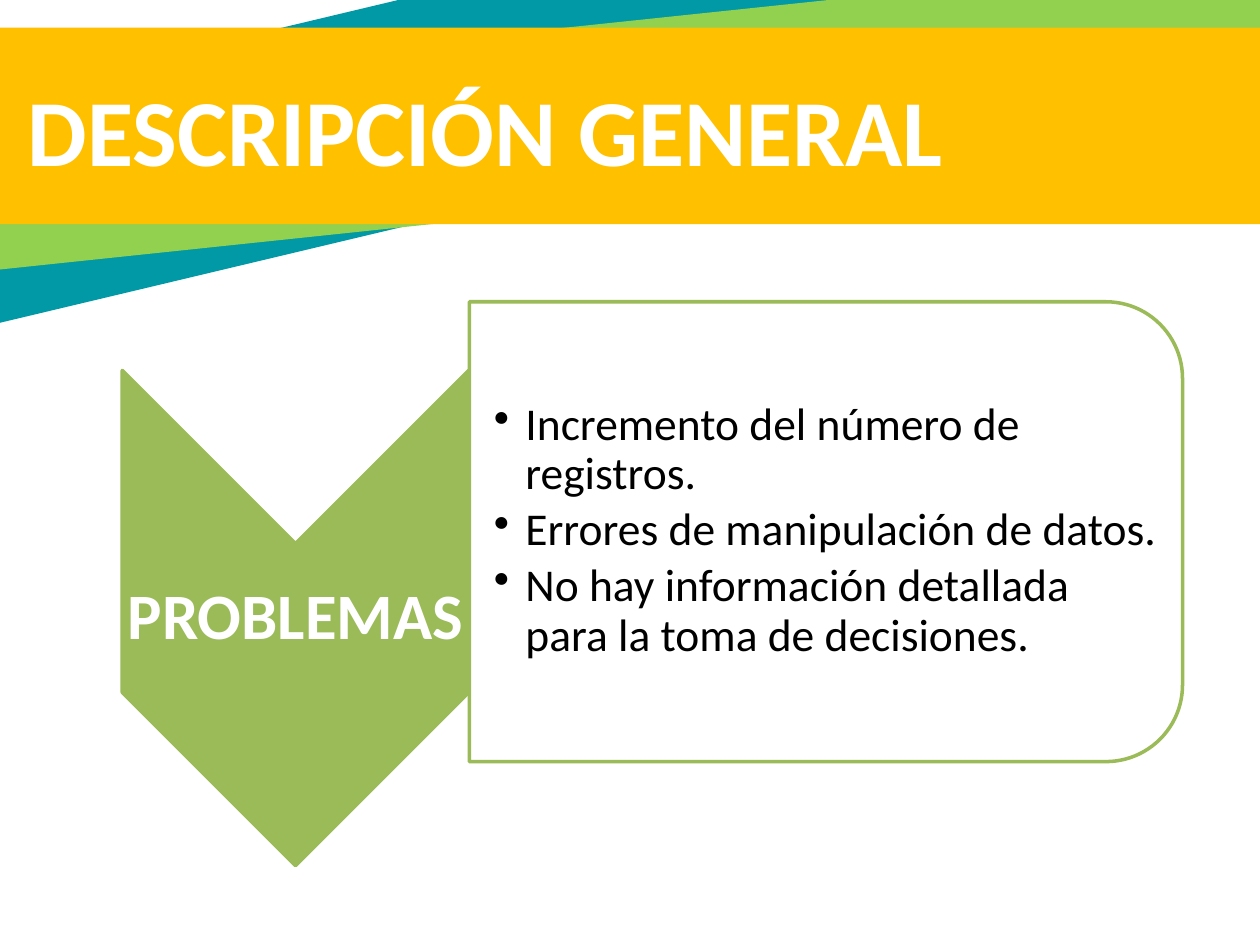
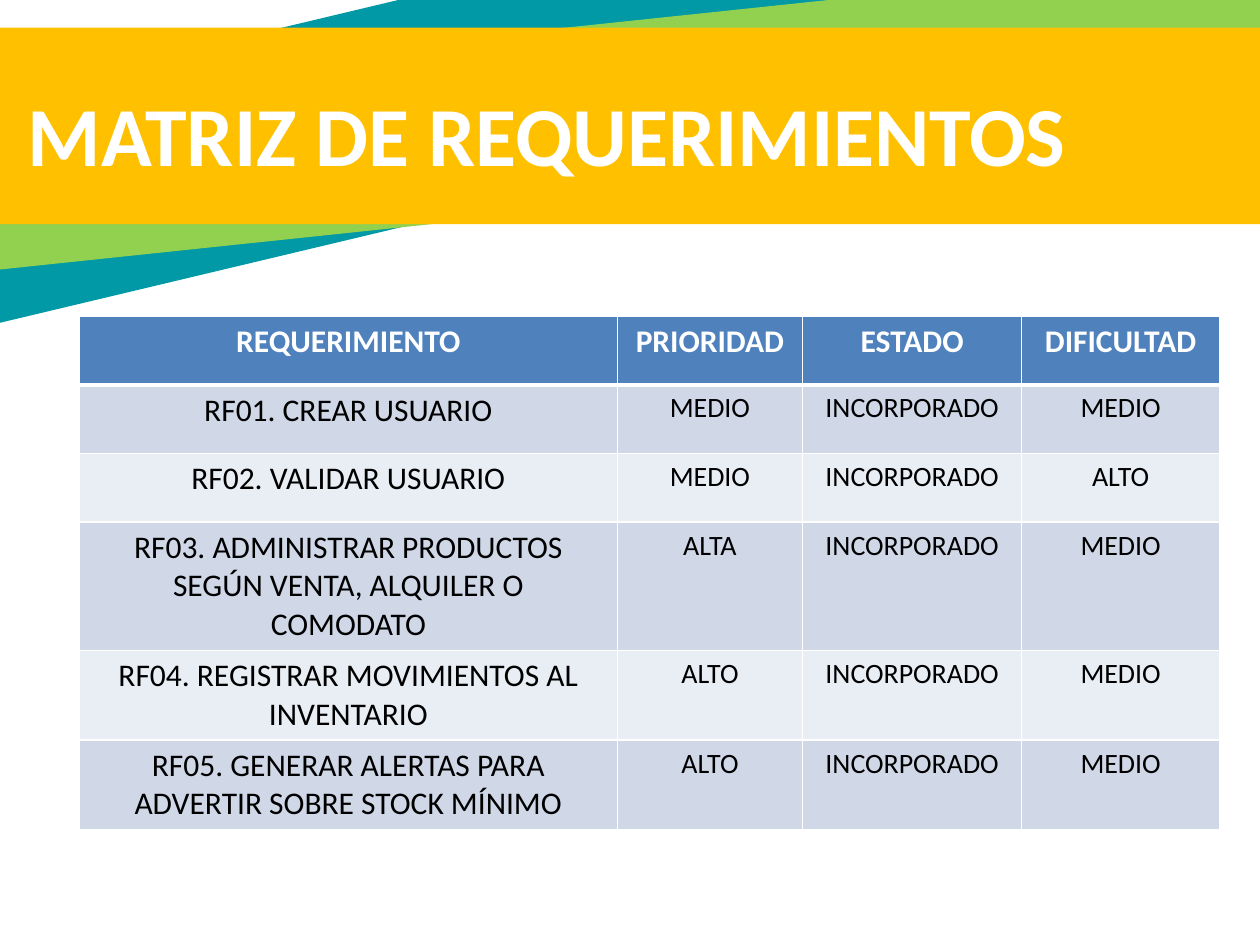
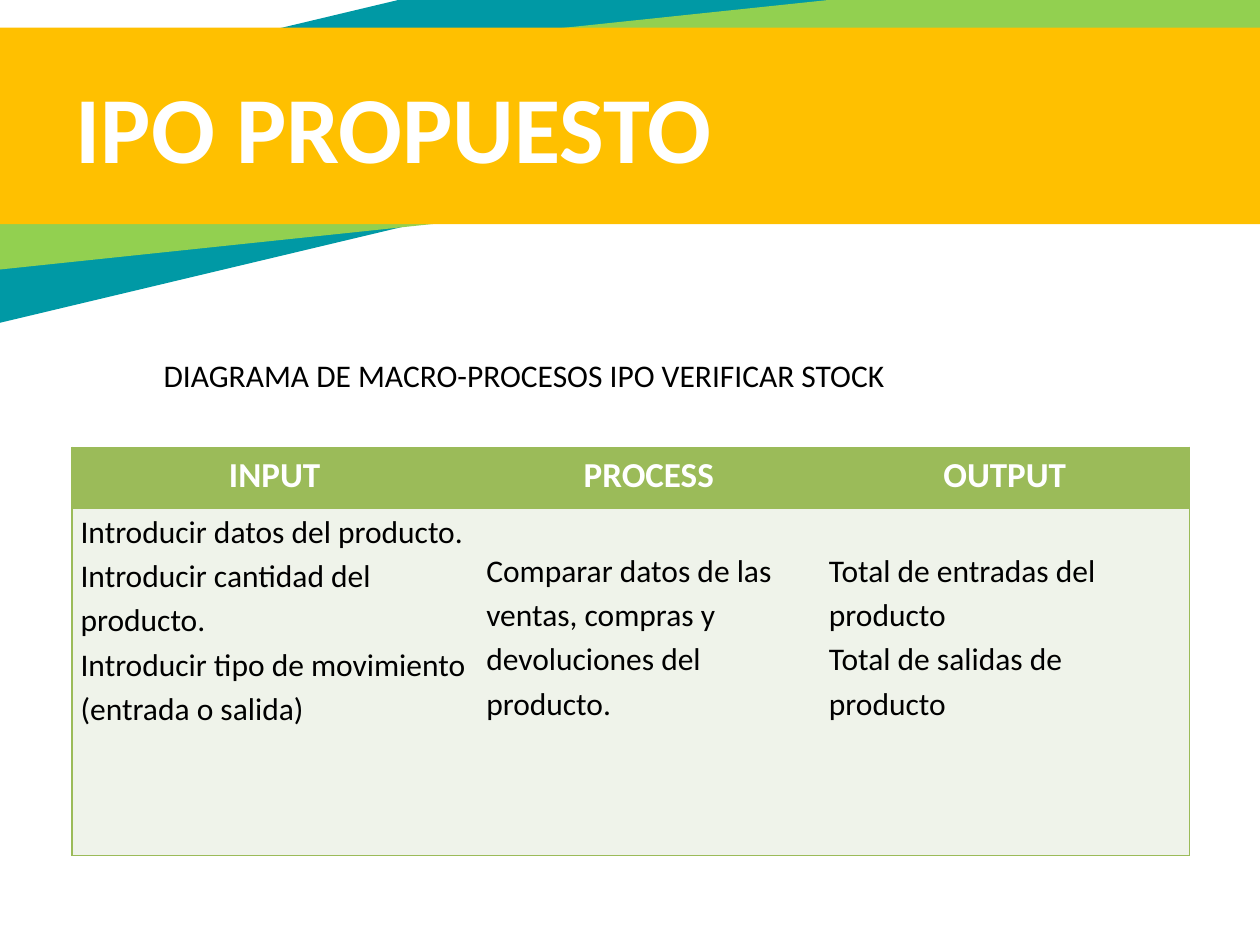
import lxml.etree
import pptx
import pptx.dml.color
import pptx.enum.shapes
import pptx.enum.text
import pptx.oxml
import pptx.oxml.ns
import pptx.util

SHAPES = pptx.enum.shapes.MSO_SHAPE
ALIGN = pptx.enum.text.PP_ALIGN
ANCHOR = pptx.enum.text.MSO_ANCHOR
NO_TABLE_STYLE = "{2D5ABB26-0587-4C30-8999-92F81FD0307C}"
TITLE_ONLY = 5


def color(hex_text):
    return pptx.dml.color.RGBColor.from_string(hex_text)


def add_xml(parent, tag, **attributes):
    child = lxml.etree.SubElement(parent, pptx.oxml.ns.qn(tag))
    for name, value in attributes.items():
        child.set(name, str(value))
    return child


class Deck:
    FONT = "Calibri"
    WHITE, BLACK = "FFFFFF", "000000"
    TEAL, LIME, AMBER = "0099A5", "92D050", "FFC000"
    OLIVE, PALE_OLIVE = "9BBB59", "EFF3EA"
    BLUE, MID_BLUE, PALE_BLUE = "4F81BD", "D0D8E8", "E9EDF4"
    COLUMNS, ROWS = 100, 75

    def __init__(self):
        self.presentation = pptx.Presentation()
        self.presentation.slide_width = pptx.util.Inches(10)
        self.presentation.slide_height = pptx.util.Inches(7.5)
        self.layout = self.presentation.slide_layouts[TITLE_ONLY]
        self.slide = None

    def x(self, columns):
        return round(self.presentation.slide_width * columns / self.COLUMNS)

    def y(self, rows):
        return round(self.presentation.slide_height * rows / self.ROWS)

    def place(self, left, top, width, height):
        return self.x(left), self.y(top), self.x(width), self.y(height)

    def new_slide(self):
        first = self.slide is None
        self.slide = self.presentation.slides.add_slide(self.layout)
        if first:
            self.bands()

    def bands(self):
        bands = [
            ((-25.1, -1.8, 130.6, 17.6), self.TEAL, 346.6),
            ((-11, 2, 116.3, 14.4), self.LIME, 354),
            ((-10.6, 2.2, 116.3, 15.6), self.AMBER, 0),
        ]
        for index, (box, fill, rotation) in enumerate(bands):
            band = self.shape(SHAPES.RECTANGLE, box, fill, rotation=rotation)
            band.element.xpath("./p:nvSpPr/p:cNvPr")[0].set("id", str(100 + index))
            self.layout.shapes.element.insert(2 + index, band.element)

    def shape(self, kind, box, fill, line=None, rotation=0, opacity=100):
        shape = self.slide.shapes.add_shape(kind, *self.place(*box))
        shape.shadow.inherit = False
        shape.rotation = rotation
        shape.fill.solid()
        shape.fill.fore_color.rgb = color(fill)
        if opacity < 100:
            solid = shape.element.spPr.find(pptx.oxml.ns.qn("a:solidFill"))
            add_xml(solid[0], "a:alpha", val=opacity * 1000)
        if line:
            shape.line.color.rgb = color(line)
            shape.line.width = pptx.util.Pt(2)
        else:
            shape.line.fill.background()
        return shape

    def format(self, frame, size, ink, bold=False, align=None, spacing=None, after=None):
        for paragraph in frame.paragraphs:
            paragraph.alignment = align
            paragraph.line_spacing = spacing
            if after is not None:
                paragraph.space_after = pptx.util.Pt(after)
            for run in paragraph.runs:
                run.font.name = self.FONT
                run.font.size = pptx.util.Pt(size)
                run.font.bold = bold
                run.font.color.rgb = color(ink)

    def margins(self, target, left, top, right, bottom):
        target.margin_left, target.margin_right = self.x(left), self.x(right)
        target.margin_top, target.margin_bottom = self.y(top), self.y(bottom)

    def title(self, text, box, size, indent, drop=0):
        title = self.slide.shapes.title
        title.left, title.top, title.width, title.height = self.place(*box)
        frame = title.text_frame
        frame.text = text
        frame.auto_size = pptx.enum.text.MSO_AUTO_SIZE.NONE
        frame.vertical_anchor = ANCHOR.MIDDLE
        self.margins(frame, indent, 0.5 + drop, 1, 0.5)
        self.format(frame, size, self.WHITE, bold=True, align=ALIGN.LEFT)

    def text(self, text, box, size, ink, margins, **style):
        frame = self.slide.shapes.add_textbox(*self.place(*box)).text_frame
        frame.word_wrap = True
        frame.vertical_anchor = ANCHOR.MIDDLE
        frame.text = text
        self.margins(frame, *margins)
        self.format(frame, size, ink, **style)
        return frame

    def bullets(self, items, box, size, margins, **style):
        frame = self.text("\n".join(items), box, size, self.BLACK, margins, **style)
        indent = self.x(2.5)
        for paragraph in frame.paragraphs:
            properties = paragraph._p.get_or_add_pPr()
            properties.set("marL", str(indent))
            properties.set("indent", str(-indent))
            add_xml(properties, "a:buChar", char="•")

    def table(self, values, left, top, widths, heights):
        box = self.place(left, top, sum(widths), sum(heights))
        table = self.slide.shapes.add_table(len(heights), len(widths), *box).table
        table._tbl.tblPr.find(pptx.oxml.ns.qn("a:tableStyleId")).text = NO_TABLE_STYLE
        for column, width in zip(table.columns, widths):
            column.width = self.x(width)
        for row, height in zip(table.rows, heights):
            row.height = self.y(height)
        for row, texts in zip(table.rows, values):
            for cell, text in zip(row.cells, texts):
                cell.text_frame.text = text
        return table

    def cell(self, cell, fill, borders, ink, size, **style):
        properties = cell._tc.get_or_add_tcPr()
        for side in "LRTB":
            if side in borders:
                line_color, width = borders[side]
                line = add_xml(properties, f"a:ln{side}", w=pptx.util.Pt(width))
                add_xml(add_xml(line, "a:solidFill"), "a:srgbClr", val=line_color)
        cell.fill.solid()
        cell.fill.fore_color.rgb = color(fill)
        self.format(cell.text_frame, size, ink, **style)


def problems_slide(deck):
    deck.new_slide()
    deck.title("DESCRIPCIÓN GENERAL", (-9.7, 2.5, 115.1, 14.9), 54, 11.9, drop=0.6)
    deck.shape(SHAPES.CHEVRON, (3.8, 35.3, 39.3, 27.5), deck.OLIVE, deck.OLIVE, 90)
    deck.text("PROBLEMAS", (9.7, 43.2, 27.5, 11.8), 37, deck.WHITE, [0.3] * 4,
              bold=True, align=ALIGN.CENTER, spacing=0.9)
    deck.shape(SHAPES.ROUND_2_SAME_RECTANGLE, (47.3, 13.9, 36.5, 56.6),
               deck.WHITE, deck.OLIVE, 90, opacity=90)
    problems = [
        "Incremento del número de registros.",
        "Errores de manipulación de datos.",
        "No hay información detallada para la toma de decisiones.",
    ]
    deck.bullets(problems, (37.2, 25.7, 54.9, 32.9), 26, (2, 0.2, 0.2, 0.2),
                 spacing=0.9, after=4)


def requirements_slide(deck):
    deck.new_slide()
    deck.title("MATRIZ DE REQUERIMIENTOS", (-9.7, 2.5, 115.1, 14.9), 48, 11.9, drop=1.2)
    requirements = [
        ("RF01. CREAR USUARIO", "MEDIO", "MEDIO"),
        ("RF02. VALIDAR USUARIO", "MEDIO", "ALTO"),
        ("RF03. ADMINISTRAR PRODUCTOS SEGÚN VENTA, ALQUILER O COMODATO", "ALTA", "MEDIO"),
        ("RF04. REGISTRAR MOVIMIENTOS AL INVENTARIO", "ALTO", "MEDIO"),
        ("RF05. GENERAR ALERTAS PARA ADVERTIR SOBRE STOCK MÍNIMO", "ALTO", "MEDIO"),
    ]
    values = [("REQUERIMIENTO", "PRIORIDAD", "ESTADO", "DIFICULTAD")]
    values += [(name, priority, "INCORPORADO", difficulty)
               for name, priority, difficulty in requirements]
    table = deck.table(values, 6.3, 25.1, (42.7, 14.7, 17.4, 15.7),
                       (5.45, 5.45, 5.45, 10.2, 7.1, 7.1))
    for row_index, row in enumerate(table.rows):
        header = row_index == 0
        fill = deck.BLUE if header else (deck.PALE_BLUE, deck.MID_BLUE)[row_index % 2]
        borders = dict.fromkeys("LRTB", (deck.WHITE, 1))
        if header:
            borders["B"] = (deck.WHITE, 3)
        elif row_index == 1:
            borders["T"] = (deck.WHITE, 3)
        for column_index, cell in enumerate(row.cells):
            size = 18 if header or column_index == 0 else 16
            deck.cell(cell, fill, borders, deck.WHITE if header else deck.BLACK, size,
                      bold=header, align=ALIGN.CENTER)


def process_slide(deck):
    deck.new_slide()
    deck.title("IPO PROPUESTO", (-10.4, 2.5, 108.2, 14.9), 54, 16.4)
    deck.text("DIAGRAMA DE MACRO-PROCESOS IPO VERIFICAR STOCK", (12, 21, 71.2, 14.5),
              18, deck.BLACK, (1, 3.55, 1, 0.5))
    inputs = [
        "Introducir datos del producto.",
        "Introducir cantidad del producto.",
        "Introducir tipo de movimiento (entrada o salida)",
    ]
    process = "Comparar datos de las ventas, compras y devoluciones del producto."
    outputs = ["Total de entradas del producto", "Total de salidas de producto"]
    values = [("INPUT", "PROCESS", "OUTPUT"),
              ("\n".join(inputs), process, "\n".join(outputs))]
    table = deck.table(values, 5.7, 35.5, (32.2, 27.2, 29.3), (4.8, 27.6))
    for row_index, row in enumerate(table.rows):
        header = row_index == 0
        for column_index, cell in enumerate(row.cells):
            sides = "TB" + {0: "L", 2: "R"}.get(column_index, "")
            borders = dict.fromkeys(sides, (deck.OLIVE, 1))
            lowered = not header and column_index > 0
            deck.margins(cell, 0.7, 3.1 if lowered else 0, 0.7, 0)
            deck.cell(cell, deck.OLIVE if header else deck.PALE_OLIVE, borders,
                      deck.WHITE if header else deck.BLACK, 20 if header else 18,
                      bold=header, spacing=1.15,
                      align=ALIGN.CENTER if header else ALIGN.LEFT)


def main():
    deck = Deck()
    problems_slide(deck)
    requirements_slide(deck)
    process_slide(deck)
    deck.presentation.save("out.pptx")


if __name__ == "__main__":
    main()
